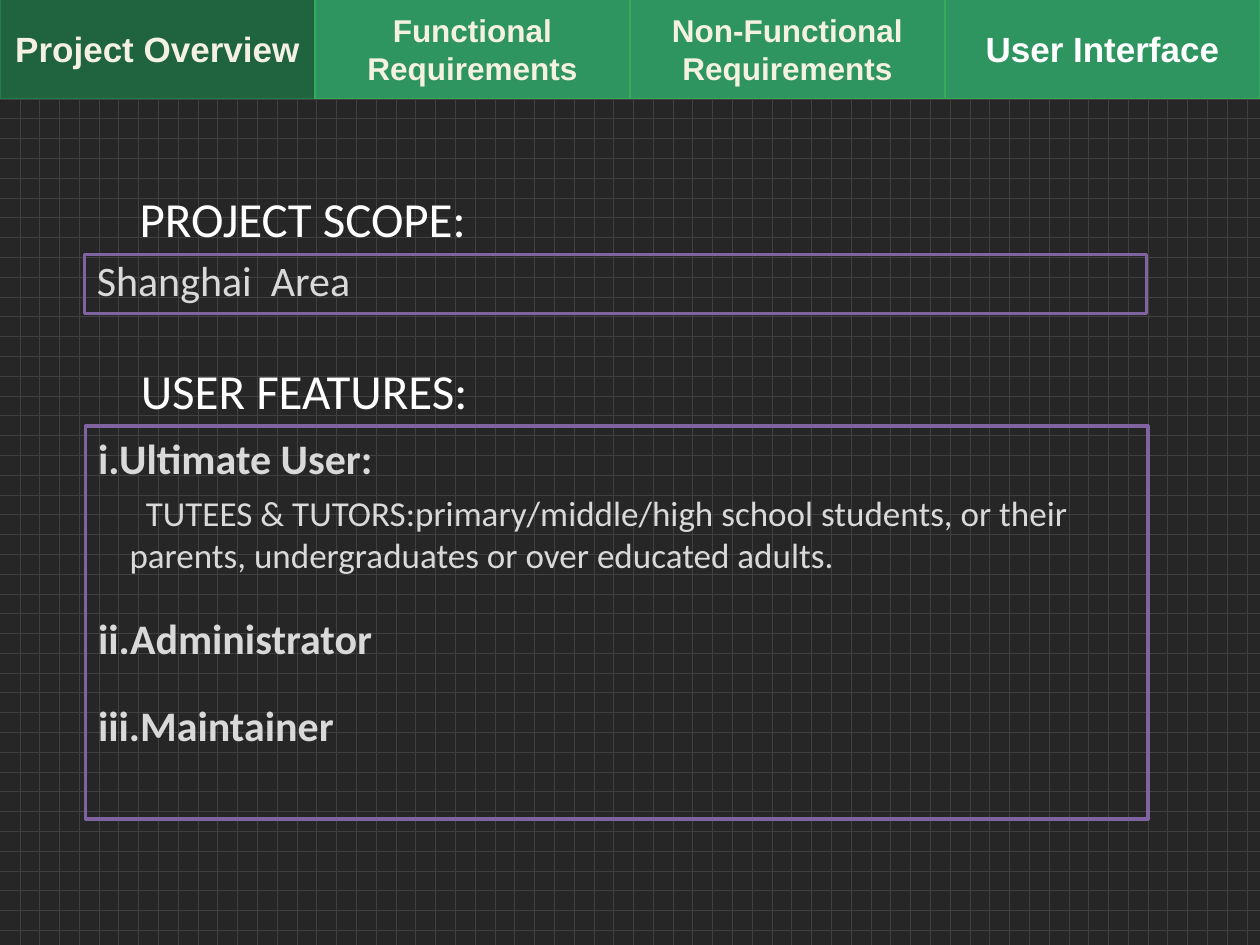
from dataclasses import dataclass

from pptx import Presentation
from pptx.dml.color import RGBColor
from pptx.enum.dml import MSO_PATTERN
from pptx.enum.shapes import MSO_SHAPE
from pptx.enum.text import MSO_ANCHOR, MSO_AUTO_SIZE, PP_ALIGN
from pptx.util import Inches, Pt

RECTANGLE = MSO_SHAPE.RECTANGLE
PROCESS = MSO_SHAPE.FLOWCHART_PROCESS
DOTTED_GRID = MSO_PATTERN.DOTTED_GRID
TOP, MIDDLE = MSO_ANCHOR.TOP, MSO_ANCHOR.MIDDLE
LEFT, CENTER = PP_ALIGN.LEFT, PP_ALIGN.CENTER
NO_FIT = MSO_AUTO_SIZE.NONE
TITLE_ONLY = 5


@dataclass(frozen=True)
class Theme:
    # Colours
    backdrop: str = "262626"
    grid: str = "404040"
    tab: str = "2F9560"
    tab_line: str = "36AC58"
    active_tab: str = "1F633F"
    active_line: str = "217D4B"
    cream: str = "F4F1E3"
    white: str = "FFFFFF"
    body: str = "D9D9D9"
    frame: str = "8064A2"
    # Fonts and type sizes
    tab_font: str = "Arial"
    body_font: str = "Calibri"
    tab_size: int = 20
    small_tab_size: int = 18
    heading_size: int = 28
    item_size: int = 24
    detail_size: int = 20


def rgb(value):
    return RGBColor.from_string(value)


class SlideBuilder:
    def __init__(self, slide, theme):
        self.slide = slide
        self.theme = theme

    def background(self):
        fill = self.slide.background.fill
        fill.patterned()
        fill.pattern = DOTTED_GRID
        fill.fore_color.rgb = rgb(self.theme.grid)
        fill.back_color.rgb = rgb(self.theme.backdrop)

    def style(self, paragraph, font, size, color, bold=False, align=LEFT):
        paragraph.alignment = align
        for run in paragraph.runs:
            run.font.name = font
            run.font.size = Pt(size)
            run.font.bold = bold
            run.font.color.rgb = rgb(color)

    def tab(self, index, label, color, active=False):
        """Add a navigation tab; the active one is the slide title."""
        theme = self.theme
        box = Inches(2.5 * index), Inches(-0.01), Inches(2.5), Inches(0.79)
        if active:
            tab = self.slide.shapes.title
            tab.left, tab.top, tab.width, tab.height = box
        else:
            tab = self.slide.shapes.add_shape(RECTANGLE, *box)
            tab.shadow.inherit = False
        tab.fill.solid()
        tab.fill.fore_color.rgb = rgb(theme.active_tab if active else theme.tab)
        tab.line.color.rgb = rgb(theme.active_line if active else theme.tab_line)
        tab.line.width = Pt(0.75)

        frame = tab.text_frame
        frame.text = label
        frame.word_wrap = True
        frame.auto_size = NO_FIT
        frame.vertical_anchor = MIDDLE
        frame.margin_left = frame.margin_right = Inches(0.05)
        frame.margin_top = frame.margin_bottom = 0
        size = theme.small_tab_size if "\n" in label else theme.tab_size
        for paragraph in frame.paragraphs:
            self.style(paragraph, theme.tab_font, size, color, True, CENTER)

    def heading(self, left, top, width, text):
        box = self.slide.shapes.add_textbox(
            Inches(left), Inches(top), Inches(width), Inches(0.57))
        box.text_frame.word_wrap = True
        box.text_frame.text = text
        self.style(box.text_frame.paragraphs[0], self.theme.body_font,
                   self.theme.heading_size, self.theme.white)

    def panel(self, left, top, height, lines, top_margin):
        """Add an outlined panel; lines hold (text, level, space before)."""
        theme = self.theme
        panel = self.slide.shapes.add_shape(
            PROCESS, Inches(left), Inches(top), Inches(8.43), Inches(height))
        panel.shadow.inherit = False
        panel.fill.background()
        panel.line.color.rgb = rgb(theme.frame)
        panel.line.width = Pt(2)

        frame = panel.text_frame
        frame.word_wrap = True
        frame.vertical_anchor = TOP
        frame.margin_top = Inches(top_margin)
        frame.margin_bottom = 0
        frame.text = "\n".join(text for text, _, _ in lines)
        for paragraph, (_, level, space) in zip(frame.paragraphs, lines):
            size = theme.item_size
            if level == "detail":
                size = theme.detail_size
                properties = paragraph._p.get_or_add_pPr()
                properties.set("marL", str(Inches(0.25)))
                properties.set("indent", str(Inches(0.13)))
            paragraph.space_before = Pt(space)
            self.style(paragraph, theme.body_font, size, theme.body,
                       level == "item")


def main():
    theme = Theme()
    deck = Presentation()
    deck.slide_width, deck.slide_height = Inches(10), Inches(7.5)
    page = SlideBuilder(deck.slides.add_slide(deck.slide_layouts[TITLE_ONLY]), theme)
    page.background()

    # Navigation tabs
    tabs = [
        ("Project Overview", theme.cream),
        ("Functional\nRequirements", theme.cream),
        ("Non-Functional\nRequirements", theme.cream),
        ("User Interface", theme.white),
    ]
    for index, (label, color) in enumerate(tabs):
        page.tab(index, label, color, active=index == 0)

    # Project scope
    page.heading(1.01, 1.45, 4.55, "PROJECT SCOPE:")
    page.panel(0.67, 2.02, 0.47, [("Shanghai  Area", "plain", 0)], top_margin=0)

    # User features
    page.heading(1.02, 2.81, 3.46, "USER FEATURES:")
    features = [
        ("i.Ultimate User:", "item", 0),
        ("TUTEES & TUTORS:primary/middle/high school students, or their "
         "parents, undergraduates or over educated adults.", "detail", 5),
        ("ii.Administrator", "item", 21),
        ("iii.Maintainer", "item", 21),
    ]
    page.panel(0.68, 3.38, 3.12, features, top_margin=0.05)

    deck.save("out.pptx")


if __name__ == "__main__":
    main()
